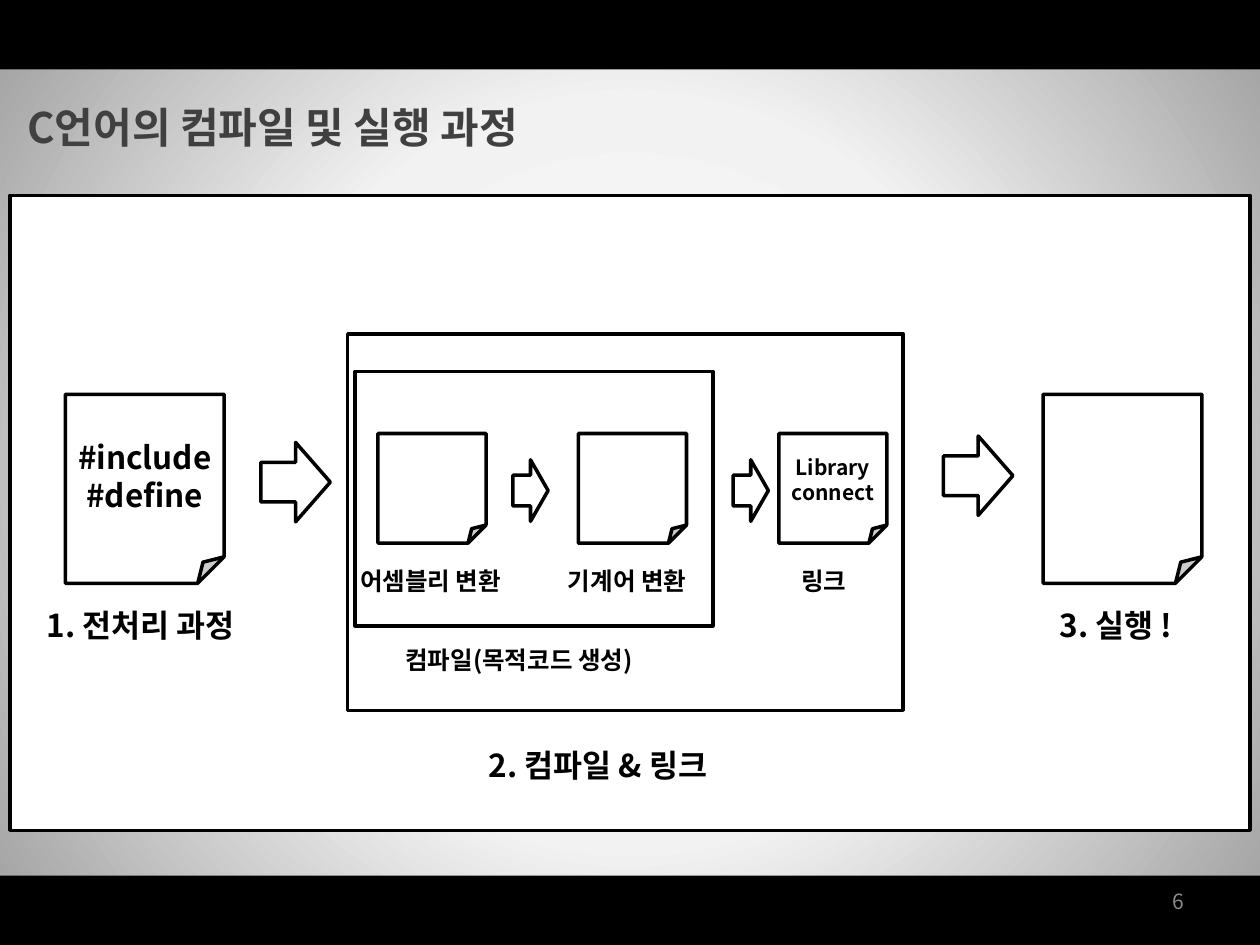
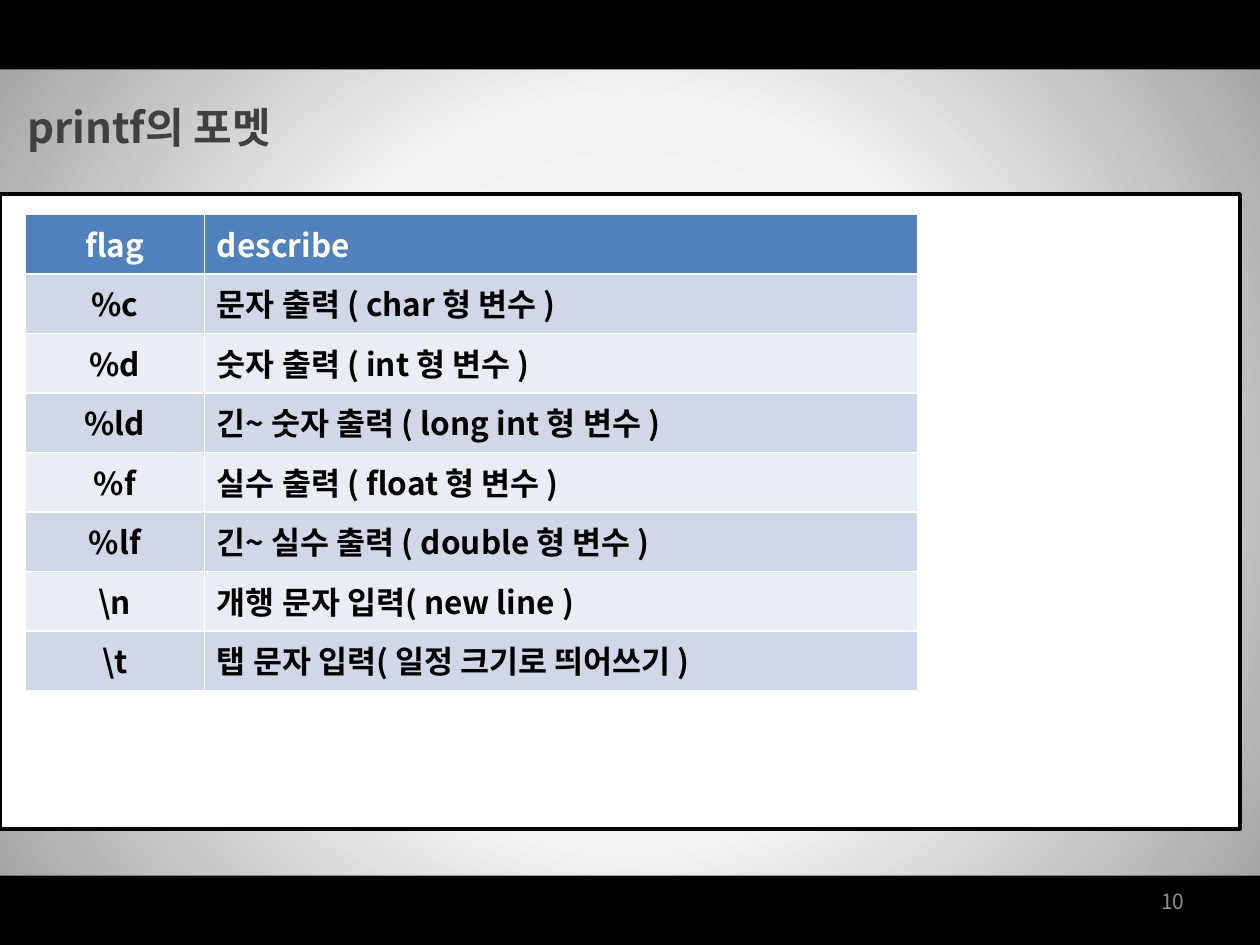
"""Build two lecture slides: the C compile process and the printf formats."""
from dataclasses import dataclass

from lxml import etree
from pptx import Presentation
from pptx.dml.color import RGBColor
from pptx.enum import shapes, text
from pptx.oxml import ns
from pptx.util import Cm, Pt


@dataclass(frozen=True)
class Theme:
    font: str = "Noto Sans CJK KR"
    black: str = "000000"
    white: str = "FFFFFF"
    title: str = "404040"
    number: str = "8C8C8C"
    header: str = "4F81BD"
    bands: tuple = ("E9EDF4", "D0D8E8")
    glow: tuple = ((0, "FFFFFF"), (50, "F2F2F2"), (100, "A6A6A6"))
    title_size: int = 24
    body_size: int = 18
    step_size: int = 14
    small_size: int = 12
    outline: int = 2


theme = Theme()
kinds = shapes.MSO_SHAPE
left, center, right = text.PP_ALIGN.LEFT, text.PP_ALIGN.CENTER, text.PP_ALIGN.RIGHT
middle = text.MSO_ANCHOR.MIDDLE
label_format = {"word_wrap": False, "auto_size": text.MSO_AUTO_SIZE.SHAPE_TO_FIT_TEXT}
title_format = {**label_format, "word_wrap": True}
centered_format = {"word_wrap": True, "vertical_anchor": middle}


def write(frame, content, size, color=theme.black, align=left, bold=True, **frame_format):
    for name, value in frame_format.items():
        setattr(frame, name, value)
    frame.text = content
    for paragraph in frame.paragraphs:
        paragraph.alignment = align
        for run in paragraph.runs:
            for name, value in {"name": theme.font, "size": Pt(size), "bold": bold}.items():
                setattr(run.font, name, value)
            run.font.color.rgb = RGBColor.from_string(color)
            east_asian = etree.SubElement(run.font._element, ns.qn("a:ea"))
            east_asian.set("typeface", theme.font)


def draw(slide, kind, box, fill=theme.white, line=theme.black):
    shape = slide.shapes.add_shape(kind, *map(Cm, box))
    shape.shadow.inherit = False
    shape.fill.solid()
    shape.fill.fore_color.rgb = RGBColor.from_string(fill)
    if line:
        shape.line.color.rgb = RGBColor.from_string(line)
        shape.line.width = Pt(theme.outline)
    else:
        shape.line.fill.background()
    return shape


deck = Presentation()
deck.slide_width, deck.slide_height = Cm(25.4), Cm(19.05)

stops = "".join(
    f'<a:gs pos="{position * 1000}"><a:srgbClr val="{color}"/></a:gs>'
    for position, color in theme.glow
)
glow_xml = (
    f'<a:gradFill {ns.nsdecls("a")} rotWithShape="1"><a:gsLst>{stops}</a:gsLst>'
    '<a:path path="circle"><a:fillToRect l="50000" t="50000" r="50000" b="50000"/></a:path>'
    "</a:gradFill>"
)

pages = []
for title, number, panel_left, panel_top in (
    ("C언어의 컴파일 및 실행 과정", "6", 0.2, 3.94),
    ("printf의 포멧", "10", 0, 3.91),
):
    page = deck.slides.add_slide(deck.slide_layouts[6])
    pages.append(page)
    backdrop = draw(page, kinds.RECTANGLE, (0, 1.4, 25.4, 16.28), line=None)
    properties = backdrop._element.spPr
    solid = properties.find(ns.qn("a:solidFill"))
    properties.replace(solid, etree.fromstring(glow_xml))
    for band_top in (0, 17.65):
        draw(page, kinds.RECTANGLE, (0, band_top, 25.4, 1.4), theme.black, None)
    page_number = page.shapes.add_textbox(*map(Cm, (18.21, 17.65, 5.92, 1.02)))
    write(page_number.text_frame, number, theme.small_size, theme.number, right, False,
          **centered_format)
    heading = page.shapes.add_textbox(*map(Cm, (0.3, 1.93, 17.04, 1.27)))
    write(heading.text_frame, title, theme.title_size, theme.title, **title_format)
    draw(page, kinds.RECTANGLE, (panel_left, panel_top, 25, 12.8))

process, formats = pages

for stage in ((7.01, 6.73, 11.2, 7.59), (7.16, 7.49, 7.21, 5.13)):
    draw(process, kinds.RECTANGLE, stage)

small_sheets = [(7.62 + 4.04 * step, 8.74, 2.18, 2.21) for step in range(3)]
for sheet, content, size in (
    ((1.32, 7.95, 3.2, 3.81), "#include\n#define", theme.body_size),
    ((21.03, 7.95, 3.2, 3.81), "", theme.body_size),
    *zip(small_sheets, ("", "", "Library connect"), [theme.small_size] * 3),
):
    page_sheet = draw(process, kinds.FOLDED_CORNER, sheet)
    if content:
        write(page_sheet.text_frame, content, size, align=center, **centered_format)

for arrow in (
    (5.26, 8.92, 1.4, 1.6),
    (19.02, 8.79, 1.4, 1.6),
    (10.34, 9.27, 0.71, 1.24),
    (14.78, 9.27, 0.71, 1.24),
):
    draw(process, kinds.RIGHT_ARROW, arrow)

for caption, size, box in (
    ("1. 전처리 과정", theme.body_size, (0.69, 12.09, 4.72, 1.02)),
    ("2. 컴파일 & 링크", theme.body_size, (9.6, 14.91, 5.49, 1.02)),
    ("3. 실행 !", theme.body_size, (21.11, 12.09, 3, 1.02)),
    ("어셈블리 변환", theme.step_size, (7.01, 11.28, 3.68, 0.86)),
    ("기계어 변환", theme.step_size, (11.2, 11.28, 3.18, 0.86)),
    ("링크", theme.step_size, (15.9, 11.28, 1.5, 0.86)),
    ("컴파일(목적코드 생성)", theme.step_size, (7.92, 12.88, 5.54, 0.86)),
):
    label = process.shapes.add_textbox(*map(Cm, box))
    write(label.text_frame, caption, size, **label_format)

flags = (
    ("flag", "describe"),
    ("%c", "문자 출력 ( char 형 변수 )"),
    ("%d", "숫자 출력 ( int 형 변수 )"),
    ("%ld", "긴~ 숫자 출력 ( long int 형 변수 )"),
    ("%f", "실수 출력 ( float 형 변수 )"),
    ("%lf", "긴~ 실수 출력 ( double 형 변수 )"),
    (r"\n", "개행 문자 입력( new line )"),
    (r"\t", "탭 문자 입력( 일정 크기로 띄어쓰기 )"),
)
flag_table = formats.shapes.add_table(
    len(flags), 2, *map(Cm, (0.51, 4.32, 17.99, 9.6))
).table
for column, width in zip(flag_table.columns, (3.61, 14.38)):
    column.width = Cm(width)
for index, entry in enumerate(flags):
    flag_table.rows[index].height = Cm(1.2)
    fill = theme.bands[index % 2] if index else theme.header
    color = theme.black if index else theme.white
    for position, (content, align) in enumerate(zip(entry, (center, left))):
        cell = flag_table.cell(index, position)
        cell.fill.solid()
        cell.fill.fore_color.rgb = RGBColor.from_string(fill)
        write(cell.text_frame, content, theme.body_size, color, align)

deck.save("out.pptx")
